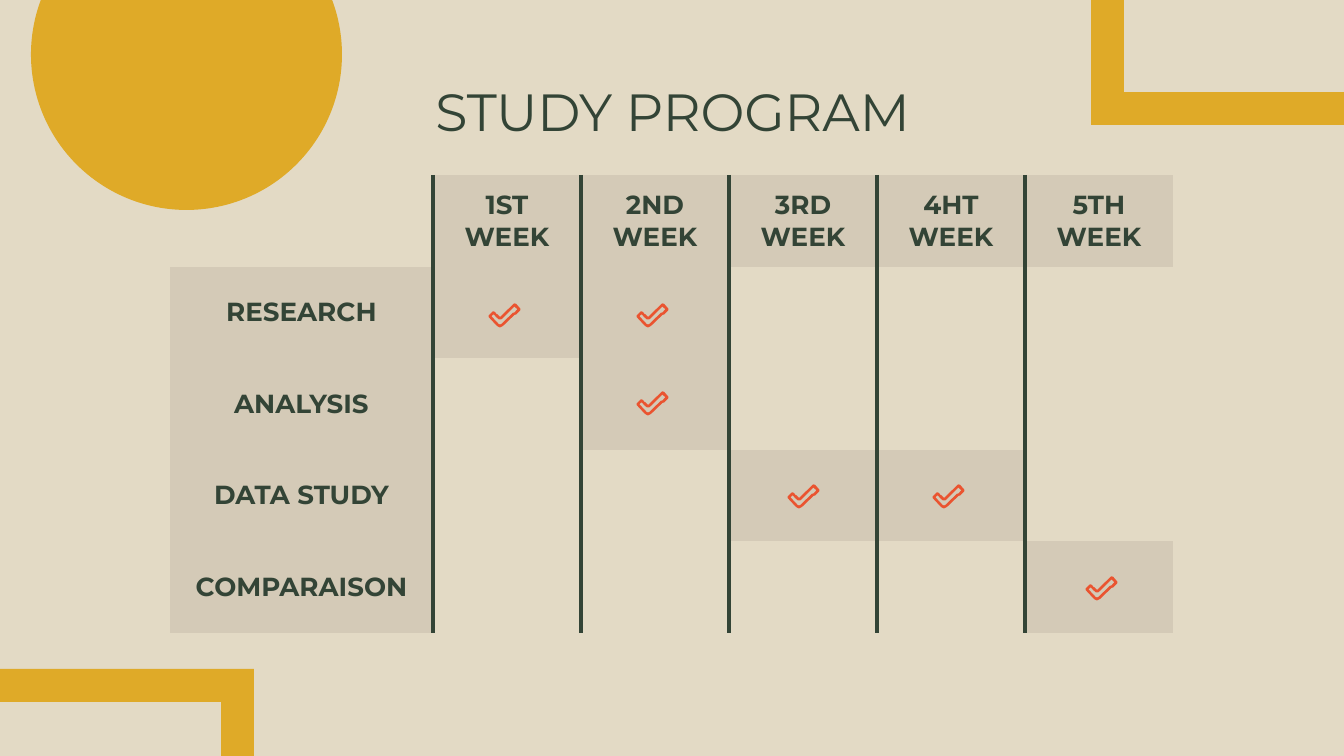
from lxml import etree
from pptx import Presentation
from pptx import util as u
from pptx.dml.color import RGBColor
from pptx.enum import shapes, text
from pptx.oxml.ns import qn

SCALE = 9144000 / 1344  # EMU per px
COLORS = {"back": "E3DAC5", "cell": "D4CAB7", "ink": "334436",
          "gold": "DFAA28", "tick": "EA5430"}
RGB = {name: RGBColor.from_string(value) for name, value in COLORS.items()}


def px(*lengths):
    return [u.Emu(round(n * SCALE)) for n in lengths]


def write(p, words, size, bold):
    p.alignment = text.PP_ALIGN.CENTER
    r = p.add_run()
    r.text = words
    r.font.name = "Montserrat"
    r.font.size = u.Pt(size)
    r.font.bold = bold
    r.font.color.rgb = RGB["ink"]


prs = Presentation()
prs.slide_width, prs.slide_height = px(1344, 756)
s = prs.slides.add_slide(prs.slide_layouts[5])
s.background.fill.solid()
s.background.fill.fore_color.rgb = RGB["back"]

# Gold decoration running off the edges
for kind, box in [
    (shapes.MSO_SHAPE.FRAME, (-295, 669, 549, 589)),
    (shapes.MSO_SHAPE.FRAME, (1091, -464, 549, 589)),
    (shapes.MSO_SHAPE.OVAL, (31, -101, 311, 311)),
]:
    sp = s.shapes.add_shape(kind, *px(*box))
    sp.shadow.inherit = False
    sp.fill.solid()
    sp.fill.fore_color.rgb = RGB["gold"]
    sp.line.fill.background()
    if kind == shapes.MSO_SHAPE.FRAME:
        sp.adjustments[0] = 0.06

# Title
title = s.shapes.title
title.left, title.top, title.width, title.height = px(106, 66, 1133, 85)
tf = title.text_frame
tf.auto_size = text.MSO_AUTO_SIZE.NONE
tf.vertical_anchor = text.MSO_ANCHOR.TOP
tf.margin_left = tf.margin_right = tf.margin_top = tf.margin_bottom = u.Inches(0.1)
write(tf.paragraphs[0], "STUDY PROGRAM", 28, False)

# Schedule: each ticked cell (row, column) with the corner of its tick
ticks = {(1, 1): (489, 304), (1, 2): (637, 304), (2, 2): (637, 392),
         (3, 3): (788, 485), (3, 4): (933, 485), (4, 5): (1086, 577)}
weeks = ["", "1ST WEEK", "2ND WEEK", "3RD WEEK", "4HT WEEK", "5TH WEEK"]
stages = ["", "RESEARCH", "ANALYSIS", "DATA STUDY", "COMPARAISON"]

frame = s.shapes.add_table(len(stages), len(weeks), *px(170, 175, 1003, 458))
table = frame.table
table.first_row = table.horz_banding = False
# The "No Style, No Grid" table style
table._tbl.tblPr.find(qn("a:tableStyleId")).text = "{2D5ABB26-0587-4C30-8999-92F81FD0307C}"
for column, width in zip(table.columns, px(263, *[148] * 5)):
    column.width = width

for row, stage in enumerate(stages):
    for col, week in enumerate(weeks):
        cell = table.cell(row, col)
        cell.vertical_anchor = text.MSO_ANCHOR.MIDDLE
        cell.margin_left = cell.margin_right = u.Inches(0.1)
        cell.margin_top = cell.margin_bottom = u.Inches(0.1)
        tcPr = cell._tc.get_or_add_tcPr()
        for tag, inner in (("a:lnL", col > 0), ("a:lnR", col < len(weeks) - 1)):
            if inner:
                ln = etree.SubElement(tcPr, qn(tag), w=str(u.Pt(3)))
                fill = etree.SubElement(ln, qn("a:solidFill"))
                etree.SubElement(fill, qn("a:srgbClr"), val=COLORS["ink"])
        label = week if row == 0 else stage if col == 0 else ""
        if label:
            write(cell.text_frame.paragraphs[0], label, 14, True)
        if label or (row, col) in ticks:
            cell.fill.solid()
            cell.fill.fore_color.rgb = RGB["cell"]
        else:
            cell.fill.background()

# Ticks: two thin outlines each, in tenths of a px
lower = [(42, 81), (3, 119), (3, 128), (85, 215), (110, 228), (137, 215),
         (253, 103), (253, 94), (244, 94), (130, 205), (110, 214), (92, 205),
         (16, 124), (45, 94), (58, 108), (67, 108), (67, 98), (53, 84)]
upper = [(253, 2), (118, 134), (105, 134), (80, 108), (69, 108), (69, 119),
         (100, 147), (122, 147), (255, 16), (294, 54), (257, 92), (257, 101),
         (267, 101), (307, 60), (307, 50), (267, 4)]
for corner in ticks.values():
    group = s.shapes.add_group_shape()
    for points in (lower, upper):
        builder = group.shapes.build_freeform(*points[0], scale=SCALE / 10)
        builder.add_line_segments(points[1:], close=True)
        sp = builder.convert_to_shape(*px(*corner))
        sp.shadow.inherit = False
        sp.fill.solid()
        sp.fill.fore_color.rgb = RGB["ink"]
        sp.line.color.rgb = RGB["tick"]
        sp.line.width = u.Pt(0.75)

prs.save("out.pptx")
